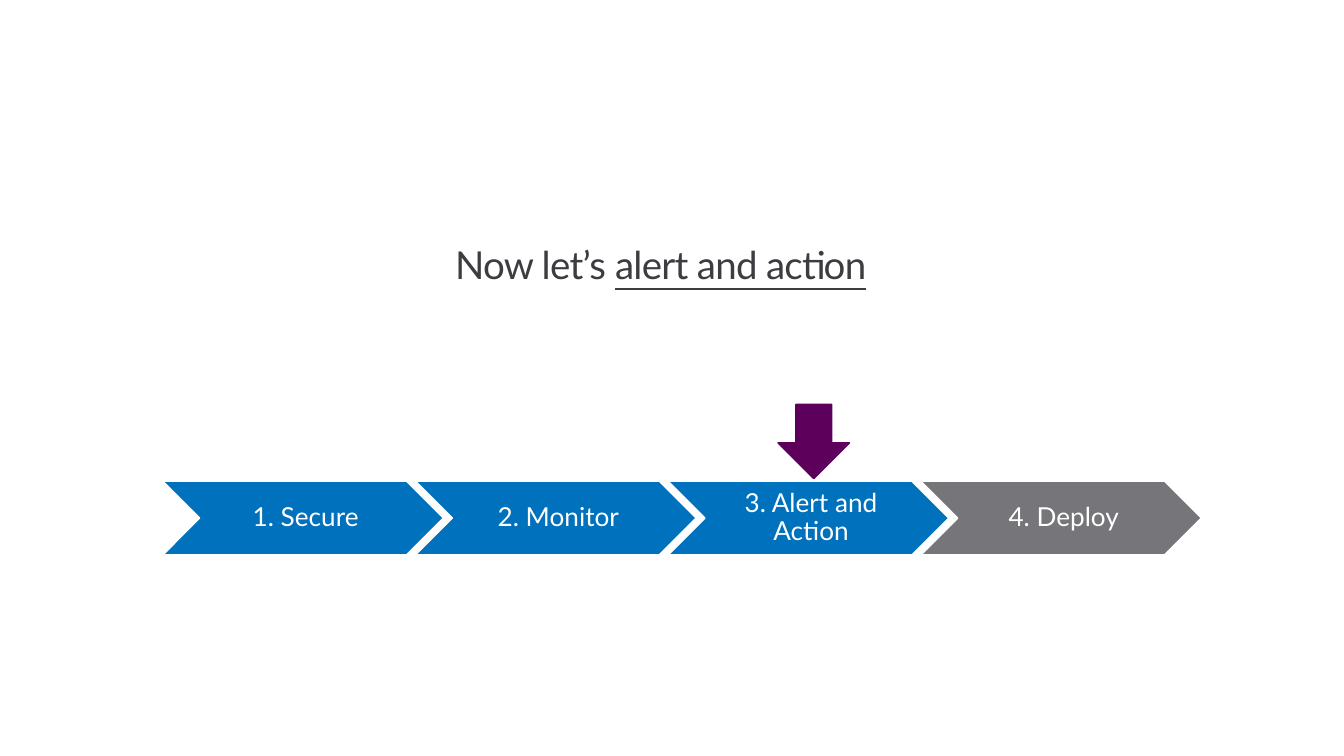
from dataclasses import dataclass

from pptx import Presentation
from pptx.dml.color import RGBColor as RGB
from pptx.enum.shapes import MSO_SHAPE as SHAPE
from pptx.enum.text import MSO_ANCHOR as ANCHOR, PP_ALIGN as ALIGN
from pptx.util import Inches, Pt


@dataclass(frozen=True)
class Theme:
    font: str = "Lato"
    title_size: float = 20.6
    step_size: float = 14
    line_width: float = 0.85
    ink: str = "3C3C41"
    white: str = "FFFFFF"
    done: str = "0071BC"
    pending: str = "75757A"
    marker: str = "5C005C"


def write(tf, *parts, font, size, color, insets, underlined=(), tracking=None):
    tf.word_wrap = True
    tf.vertical_anchor = ANCHOR.MIDDLE
    tf.margin_left, tf.margin_top, tf.margin_right, tf.margin_bottom = map(Inches, insets)
    p = tf.paragraphs[0]
    p.alignment = ALIGN.CENTER
    p.line_spacing = 0.9
    for text in parts:
        r = p.add_run()
        r.text = text
        r.font.name = font
        r.font.size = Pt(size)
        r.font.color.rgb = RGB.from_string(color)
        if text in underlined:
            r.font.underline = True
        if tracking is not None:
            r._r.get_or_add_rPr().set("spc", str(round(tracking * 100)))


class Deck:
    def __init__(self, theme, slide):
        self.theme = theme
        self.s = slide

    def title(self, *parts, at, **fmt):
        t = self.theme
        box = self.s.shapes.add_textbox(*map(Inches, at))
        write(box.text_frame, *parts, font=t.font, size=t.title_size, color=t.ink,
              insets=(0, 0.1, 0.16, 0.1), **fmt)

    def shape(self, kind, at, fill, line):
        sp = self.s.shapes.add_shape(kind, *map(Inches, at))
        sp.shadow.inherit = False
        sp.fill.solid()
        sp.fill.fore_color.rgb = RGB.from_string(fill)
        sp.line.color.rgb = RGB.from_string(line)
        sp.line.width = Pt(self.theme.line_width)
        return sp

    def step(self, text, at, fill):
        t = self.theme
        sp = self.shape(SHAPE.CHEVRON, at, fill, t.white)
        write(sp.text_frame, text, font=t.font, size=t.step_size, color=t.white,
              insets=(0.06, 0.02, 0.02, 0.02))

    def marker(self, at):
        self.shape(SHAPE.DOWN_ARROW, at, self.theme.marker, self.theme.marker)


def main():
    theme = Theme()
    prs = Presentation()
    prs.slide_width, prs.slide_height = Inches(10), Inches(10 * 9 / 16)
    deck = Deck(theme, prs.slides.add_slide(prs.slide_layouts[6]))

    topic = "alert and action"
    deck.title("Now let’s ", topic, at=(0.42, 1.65, 9.15, 0.67),
               underlined=(topic,), tracking=-0.4)

    steps = ["Secure", "Monitor", "Alert and Action", "Deploy"]
    current = 3
    left, top, width, height, pitch = 1.21, 3.58, 2.09, 0.55, 1.88
    for i, name in enumerate(steps):
        deck.step(f"{i + 1}. {name}", (left + i * pitch, top, width, height),
                  theme.done if i < current else theme.pending)
    deck.marker((5.79, 3.01, 0.53, height))

    prs.save("out.pptx")


if __name__ == "__main__":
    main()
